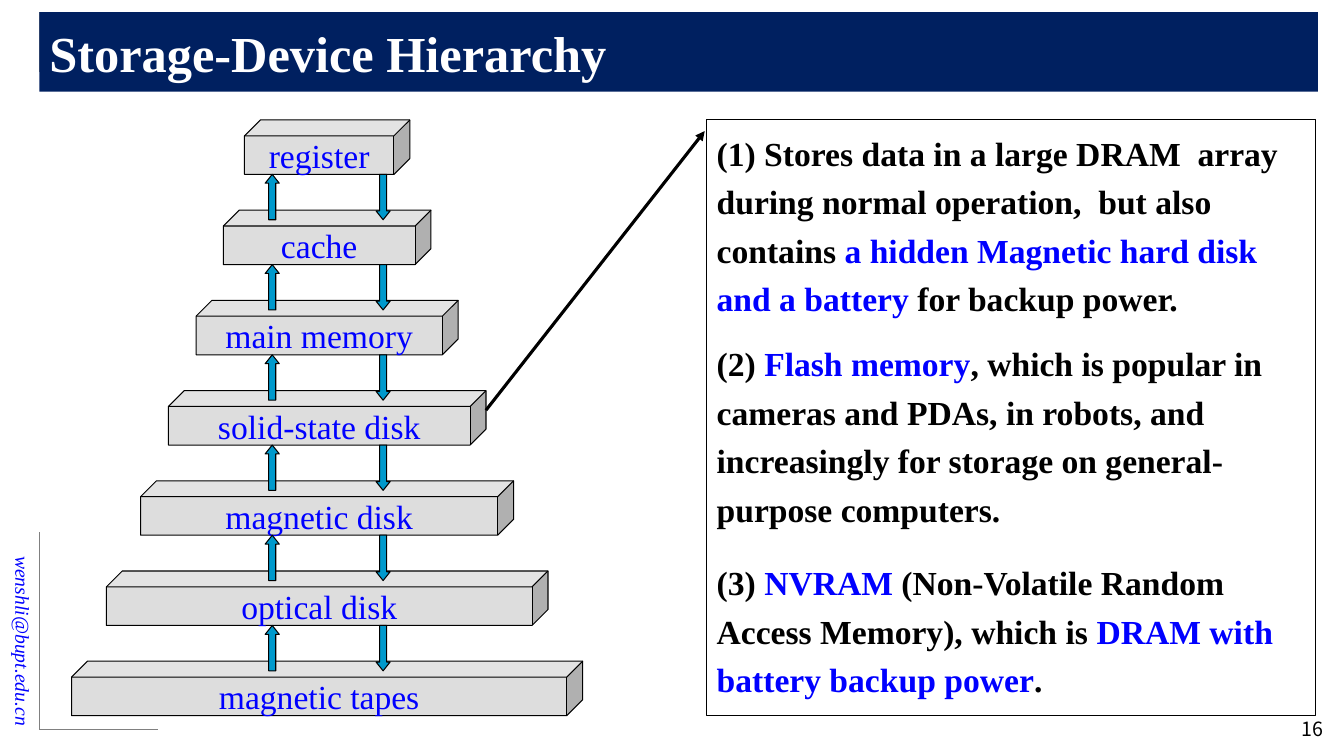
"""Build the storage-device hierarchy slide."""
from lxml import etree
from pptx import Presentation
from pptx.dml.color import RGBColor
from pptx.enum.shapes import MSO_CONNECTOR, MSO_SHAPE
from pptx.enum.text import MSO_ANCHOR, PP_ALIGN
from pptx.oxml.ns import qn
from pptx.util import Inches, Pt

STRAIGHT = MSO_CONNECTOR.STRAIGHT
RECTANGLE, CUBE, DOWN_ARROW = MSO_SHAPE.RECTANGLE, MSO_SHAPE.CUBE, MSO_SHAPE.DOWN_ARROW
TOP, MIDDLE = MSO_ANCHOR.TOP, MSO_ANCHOR.MIDDLE
LEFT, CENTER, RIGHT = PP_ALIGN.LEFT, PP_ALIGN.CENTER, PP_ALIGN.RIGHT

BLACK = RGBColor(0x00, 0x00, 0x00)
WHITE = RGBColor(0xFF, 0xFF, 0xFF)
NAVY = RGBColor(0x00, 0x20, 0x60)
BLUE = RGBColor(0x00, 0x00, 0xFF)
GREY = RGBColor(0x80, 0x80, 0x80)
CUBE_GREY = RGBColor(0xDD, 0xDD, 0xDD)
ARROW_BLUE = RGBColor(0x00, 0x99, 0xCC)

SERIF = "Times New Roman"
SANS = "Noto Sans CJK SC"

TIERS = [
    ("register", 1.64),
    ("cache", 2.06),
    ("main memory", 2.6),
    ("solid-state disk", 3.15),
    ("magnetic disk", 3.7),
    ("optical disk", 4.38),
    ("magnetic tapes", 5.07),
]
TIER_CENTER, TIER_TOP, TIER_STEP, TIER_HEIGHT = 3.245, 1.19, 0.895, 0.54
UP_LEFT, DOWN_LEFT = 2.63, 3.73

NOTES = [
    (6, [
        ("(1) Stores data in a large DRAM  array during normal operation,  but also contains ", BLACK),
        ("a hidden Magnetic hard disk and a battery ", BLUE),
        ("for backup power.", BLACK),
    ]),
    (12, [
        ("(2) ", BLACK),
        ("Flash memory", BLUE),
        (", which is popular in cameras and PDAs, in robots, and increasingly "
         "for storage on general-purpose computers.", BLACK),
    ]),
    (0, [
        ("(3) ", BLACK),
        ("NVRAM", BLUE),
        (" (Non-Volatile Random Access Memory), which is ", BLACK),
        ("DRAM with battery backup power", BLUE),
        (".", BLACK),
    ]),
]


def add_run(paragraph, text, size, color, font=SERIF, bold=False, italic=False):
    """Append one formatted run to a paragraph."""
    run = paragraph.add_run()
    run.text = text
    run.font.name = font
    run.font.size = Pt(size)
    run.font.color.rgb = color
    run.font.bold = bold
    run.font.italic = italic


def set_frame(shape, align, anchor=MIDDLE, wrap=True):
    """Prepare a text frame and return its first paragraph."""
    frame = shape.text_frame
    frame.word_wrap = wrap
    frame.vertical_anchor = anchor
    frame.paragraphs[0].alignment = align
    return frame.paragraphs[0]


def add_block(slide, preset, box, fill=None, line=None):
    """Add a flat preset shape with an optional fill and outline."""
    block = slide.shapes.add_shape(preset, *map(Inches, box))
    block.shadow.inherit = False
    if fill is None:
        block.fill.background()
    else:
        block.fill.solid()
        block.fill.fore_color.rgb = fill
    if line is None:
        block.line.fill.background()
    else:
        block.line.color.rgb = line
        block.line.width = Pt(0.75)
    return block


def add_label(slide, box, align, anchor, text, **style):
    """Add a one-line text box and return it."""
    label = slide.shapes.add_textbox(*map(Inches, box))
    add_run(set_frame(label, align, anchor), text, 14, **style)
    return label


def add_line(slide, start, end, color, width, arrow=False):
    """Add a straight line, with an arrowhead at its end if asked."""
    line = slide.shapes.add_connector(STRAIGHT, *map(Inches, (*start, *end)))
    line.line.color.rgb = color
    line.line.width = Pt(width)
    if arrow:
        etree.SubElement(line.line._get_or_add_ln(), qn("a:tailEnd"), type="triangle")
    etree.SubElement(line._element.spPr, qn("a:effectLst"))


def add_corner(slide, corner, across, along):
    """Add two thin lines that meet at a corner."""
    x, y = corner
    add_line(slide, corner, (x, y + along), GREY, 0.5)
    add_line(slide, corner, (x + across, y), GREY, 0.5)


def add_title(slide):
    """Add the title banner."""
    banner = add_block(slide, RECTANGLE, (0.39, 0.12, 12.68, 0.79), NAVY)
    add_run(set_frame(banner, LEFT), "Storage-Device Hierarchy", 36, WHITE, bold=True)


def add_transfer(slide, left, top, rotation):
    """Add a block arrow between two tiers."""
    transfer = add_block(slide, DOWN_ARROW, (left, top, 0.14, 0.45), ARROW_BLUE, BLACK)
    transfer.adjustments[0] = 0.5
    transfer.adjustments[1] = 0.625
    transfer.rotation = rotation


def add_hierarchy(slide):
    """Add the pyramid of storage tiers and the arrows between them."""
    tops = [TIER_TOP + TIER_STEP * level for level in range(len(TIERS))]
    for (device, width), top in zip(TIERS, tops):
        box = (TIER_CENTER - width / 2, top, width, TIER_HEIGHT)
        tier = add_block(slide, CUBE, box, CUBE_GREY, BLACK)
        tier.adjustments[0] = 0.292
        add_run(set_frame(tier, CENTER, wrap=False), device, 24, BLUE)
    for top in tops[:-1]:
        add_transfer(slide, DOWN_LEFT, top + TIER_HEIGHT, 0)
        add_transfer(slide, UP_LEFT, top + TIER_HEIGHT, 180)


def add_notes_panel(slide):
    """Add the outlined panel that explains solid-state disks."""
    panel = add_block(slide, RECTANGLE, (7.01, 1.19, 6.04, 5.91), line=BLACK)
    paragraph = set_frame(panel, LEFT, TOP)
    for index, (space_after, runs) in enumerate(NOTES):
        if index:
            paragraph = panel.text_frame.add_paragraph()
            paragraph.alignment = LEFT
            paragraph.space_before = Pt(6)
        paragraph.line_spacing = 1.2
        paragraph.space_after = Pt(space_after)
        for text, color in runs:
            add_run(paragraph, text, 24, color, bold=True)


def main():
    """Build and save the slide."""
    deck = Presentation()
    deck.slide_width, deck.slide_height = Inches(13.33), Inches(7.5)
    slide = deck.slides.add_slide(deck.slide_layouts[6])
    email = add_label(slide, (-1.09, 5.81, 2.64, 0.34), RIGHT, MIDDLE,
                      "wenshli@bupt.edu.cn", color=BLUE, italic=True)
    email.rotation = 90
    add_corner(slide, (0.39, 0.12), 1.97, 0.59)
    add_corner(slide, (0.39, 7.24), 1.18, -1.96)
    add_corner(slide, (13.05, 1.18), -1.97, 1.18)
    add_title(slide)
    add_hierarchy(slide)
    add_notes_panel(slide)
    add_line(slide, (4.82, 4.07), (6.99, 1.3), BLACK, 2.25, arrow=True)
    add_label(slide, (12.11, 7.06, 1.11, 0.36), RIGHT, TOP, "16", color=BLACK, font=SANS)
    deck.save("out.pptx")


if __name__ == "__main__":
    main()
